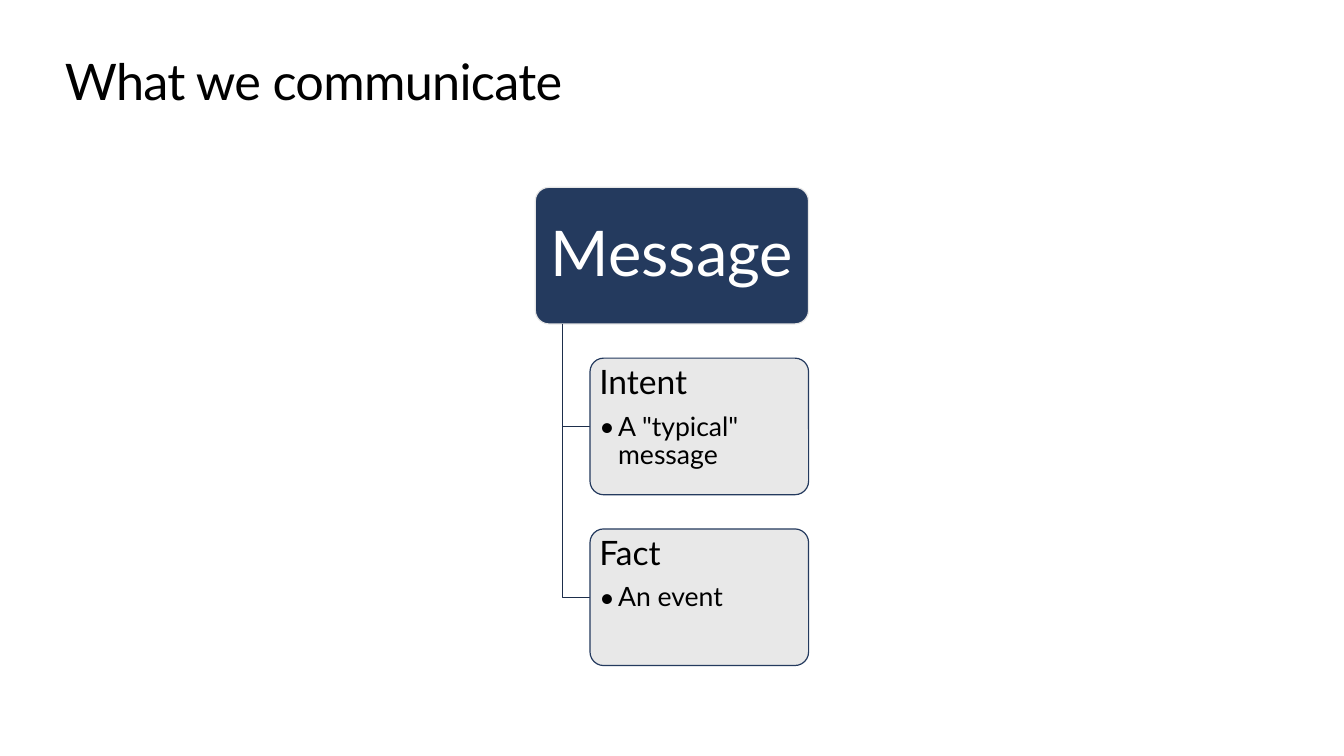
from pptx import Presentation
from pptx.dml.color import RGBColor
from pptx.enum.shapes import MSO_SHAPE
from pptx.enum.text import MSO_ANCHOR, MSO_AUTO_SIZE, PP_ALIGN
from pptx.oxml.ns import qn
from pptx.util import Pt
from lxml.etree import SubElement


def style(p, size, color):
    f = p.runs[0].font
    f.name, f.size = "Lato", Pt(size)
    f.color.rgb = RGBColor.from_string(color)


def box(left, top, width, fill, line, inset_x, inset_y, anchor):
    sp = s.shapes.add_shape(MSO_SHAPE.ROUNDED_RECTANGLE, Pt(left), Pt(top), Pt(width), Pt(box_h))
    sp.shadow.inherit = False
    sp.adjustments[0] = 0.1
    sp.fill.solid()
    sp.fill.fore_color.rgb = RGBColor.from_string(fill)
    sp.line.color.rgb = RGBColor.from_string(line)
    sp.line.width = Pt(0.85)
    tf = sp.text_frame
    tf.word_wrap = True
    tf.vertical_anchor = anchor
    tf.margin_left = tf.margin_right = Pt(inset_x)
    tf.margin_top = tf.margin_bottom = Pt(inset_y)
    return sp


prs = Presentation()
prs.slide_width, prs.slide_height = Pt(960), Pt(540)
s = prs.slides.add_slide(prs.slide_layouts[5])

title = s.shapes.title
title.left, title.top, title.width, title.height = Pt(46.3), Pt(36), Pt(472), Pt(44)
tf = title.text_frame
tf.text = "What we communicate"
tf.word_wrap = True
tf.auto_size = MSO_AUTO_SIZE.SHAPE_TO_FIT_TEXT
tf.vertical_anchor = MSO_ANCHOR.TOP
tf.margin_left = tf.margin_top = tf.margin_right = tf.margin_bottom = 0
p = tf.paragraphs[0]
p.alignment = PP_ALIGN.LEFT
style(p, 36, "000000")
p.runs[0].font._element.set("spc", "-50")

root_x, root_y, root_w, box_h = 382.4, 133.8, 195.2, 97.6
pitch = box_h * 1.25
card_x, card_w = root_x + root_w * 0.2, root_w * 0.8
trunk_x = root_x + root_w * 0.1

root = box(root_x, root_y, root_w, "243A5E", "E6E6E6", 5, 4, MSO_ANCHOR.MIDDLE)
root.text_frame.text = "Message"
p = root.text_frame.paragraphs[0]
p.alignment = PP_ALIGN.CENTER
p.line_spacing = 0.9
style(p, 45, "FFFFFF")

cards = [("Intent", 'A "typical" message'), ("Fact", "An event")]
for i, (name, detail) in enumerate(cards, 1):
    card_y = root_y + i * pitch
    mid_y = card_y + box_h / 2
    fb = s.shapes.build_freeform(Pt(trunk_x), Pt(root_y + box_h))
    fb.add_line_segments([(Pt(trunk_x), Pt(mid_y)), (Pt(card_x), Pt(mid_y))], close=False)
    branch = fb.convert_to_shape()
    branch.shadow.inherit = False
    branch.fill.background()
    branch.line.color.rgb = RGBColor.from_string("1D2E4B")
    branch.line.width = Pt(0.85)

    card = box(card_x, card_y, card_w, "E6E6E6", "243A5E", 3.8, 2.2, MSO_ANCHOR.TOP)
    color = card._element.spPr.find(qn("a:solidFill"))[0]
    SubElement(color, qn("a:alpha")).set("val", "90000")
    tf = card.text_frame
    tf.text = name
    p = tf.paragraphs[0]
    p.alignment = PP_ALIGN.LEFT
    p.line_spacing = 0.9
    p.space_after = Pt(8.4)
    style(p, 24, "000000")

    p = tf.add_paragraph()
    p.text = detail
    p.level = 1
    p.alignment = PP_ALIGN.LEFT
    p.line_spacing = 0.9
    pPr = p._p.get_or_add_pPr()
    pPr.set("marL", str(Pt(13.5)))
    pPr.set("indent", str(-Pt(13.5)))
    SubElement(pPr, qn("a:buFont")).set("typeface", "Lato")
    SubElement(pPr, qn("a:buChar")).set("char", "•")
    style(p, 19, "000000")

prs.save("out.pptx")
